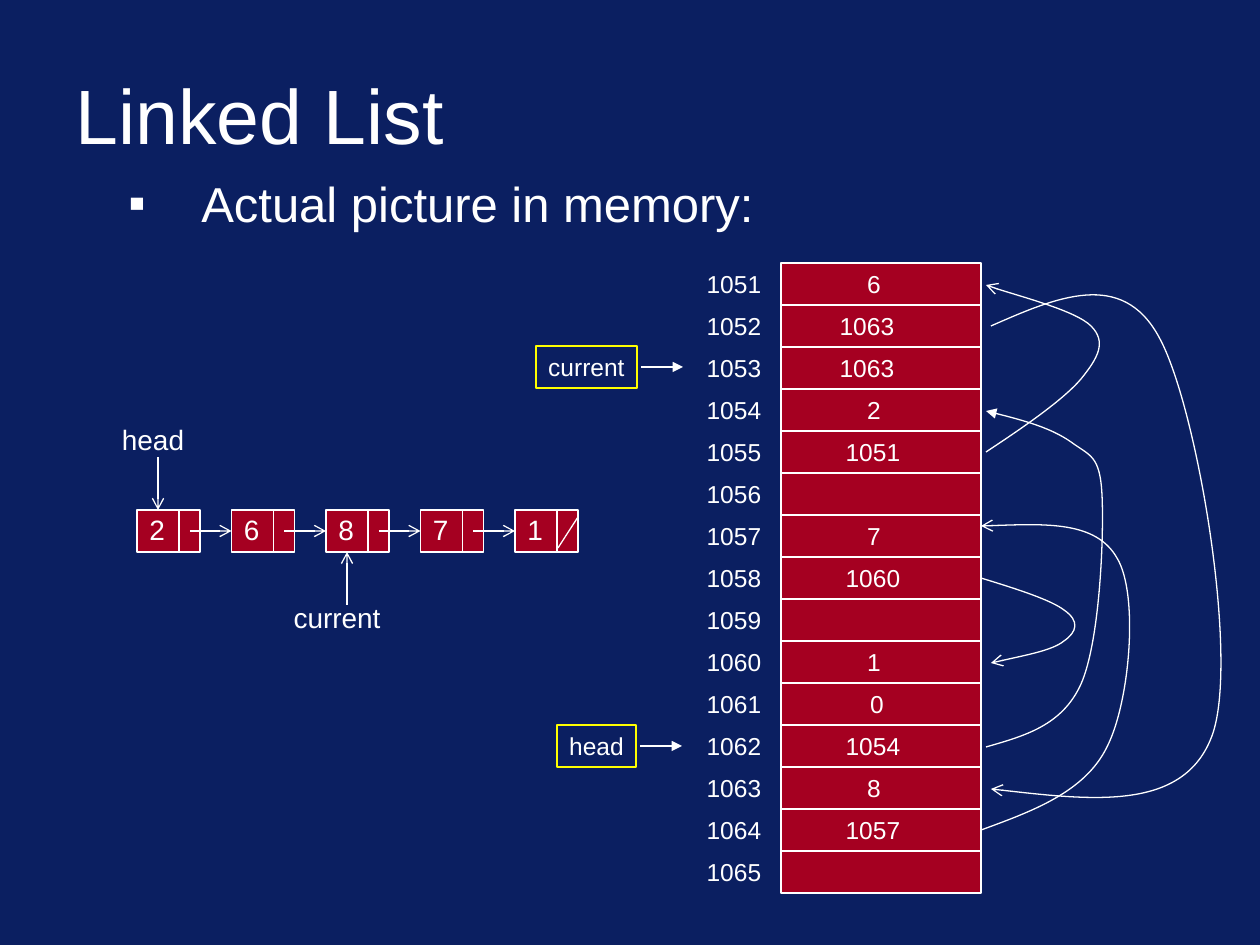
from lxml import etree
from pptx import Presentation
from pptx.dml.color import RGBColor
from pptx.enum.shapes import MSO_CONNECTOR, MSO_SHAPE
from pptx.enum.text import MSO_ANCHOR, PP_ALIGN
from pptx.oxml.ns import qn
from pptx.util import Inches, Pt

EMU_PER_PX = 914400 / 126
NAVY = RGBColor(0x0B, 0x1F, 0x61)
CRIMSON = RGBColor(0xA5, 0x00, 0x21)
WHITE = RGBColor(0xFF, 0xFF, 0xFF)
YELLOW = RGBColor(0xFF, 0xFF, 0x00)
LEFT, CENTER = PP_ALIGN.LEFT, PP_ALIGN.CENTER
TOP, MIDDLE = MSO_ANCHOR.TOP, MSO_ANCHOR.MIDDLE
RECTANGLE, STRAIGHT = MSO_SHAPE.RECTANGLE, MSO_CONNECTOR.STRAIGHT
LEFT_SIDE = 1

ROW = 42
FIRST_ADDRESS = 1051
# One entry per memory row: text and its centre, from the left of the memory
MEMORY = [("6", 93), ("1063", 86), ("1063", 86), ("2", 93), ("1051", 92),
          ("", 0), ("7", 93), ("1060", 92), ("", 0), ("1", 93),
          ("0", 96), ("1054", 92), ("8", 93), ("1057", 92), ("", 0)]
# Bezier points of each pointer, from the top right corner of the memory
POINTERS = [
    ("arrow", [(5, 189), (43, 164), (82, 137), (100, 116), (117, 95),
               (126, 79), (110, 63), (95, 48), (23, 29), (5, 22)]),
    ("arrow", [(10, 63), (76, 34), (141, 6), (178, 74), (216, 142),
               (259, 398), (231, 473), (203, 548), (106, 537), (10, 526)]),
    ("arrow", [(0, 567), (52, 548), (104, 529), (126, 484), (149, 439),
               (158, 331), (136, 295), (115, 258), (58, 261), (0, 263)]),
    ("arrow", [(0, 315), (36, 326), (70, 337), (83, 347), (99, 358),
               (96, 369), (83, 378), (72, 387), (41, 393), (10, 400)]),
    ("triangle", [(5, 484), (43, 473), (81, 463), (100, 421), (119, 378),
                  (123, 272), (121, 232), (119, 192), (109, 193), (90, 179),
                  (70, 165), (38, 156), (5, 148)]),
]


def px(*lengths):
    return [round(length * EMU_PER_PX) for length in lengths]


def write(shape, text, size=14, align=CENTER, anchor=TOP, wrap=False):
    frame = shape.text_frame
    frame.word_wrap = wrap
    frame.vertical_anchor = anchor
    paragraph = frame.paragraphs[0]
    paragraph.alignment = align
    run = paragraph.add_run()
    run.text = text
    run.font.size = Pt(size)
    run.font.name = "Arial"
    run.font.color.rgb = WHITE
    return paragraph


def add_label(slide, text, center, top, width=90, height=ROW, **style):
    label = slide.shapes.add_textbox(*px(center - width / 2, top, width, height))
    write(label, text, **style)


def set_outline(shape, color=WHITE, tip=None):
    shape.line.color.rgb = color
    shape.line.width = Pt(0.75)
    if tip:
        outline = shape.element.spPr.find(qn("a:ln"))
        etree.SubElement(outline, qn("a:tailEnd"), type=tip)


def add_box(slide, box, fill=None, color=WHITE):
    rect = slide.shapes.add_shape(RECTANGLE, *px(*box))
    rect.shadow.inherit = False
    if fill is None:
        rect.fill.background()
    else:
        rect.fill.solid()
        rect.fill.fore_color.rgb = fill
    set_outline(rect, color)
    return rect


def add_line(slide, start, end, tip=None):
    line = slide.shapes.add_connector(STRAIGHT, *px(*start, *end))
    set_outline(line, tip=tip)
    etree.SubElement(line.element.spPr, qn("a:effectLst"))
    return line


def add_curve(slide, points, tip):
    """Draw a chain of cubic Beziers: a start, then three points per piece."""
    builder = slide.shapes.build_freeform(*points[0], scale=EMU_PER_PX)
    builder.add_line_segments(points[1:], close=False)
    curve = builder.convert_to_shape()
    curve.shadow.inherit = False
    curve.fill.background()
    set_outline(curve, tip=tip)
    outline = next(curve.element.iter(qn("a:path")))
    segments = outline.findall(qn("a:lnTo"))
    for first in range(0, len(segments), 3):
        bezier = etree.SubElement(outline, qn("a:cubicBezTo"))
        for segment in segments[first:first + 3]:
            bezier.append(segment[0])
            outline.remove(segment)


def add_heading(slide, box):
    x, y, width, height = box
    title = slide.shapes.title
    title.left, title.top, title.width, title.height = px(x, y, width, height)
    write(title, "Linked List", size=44, align=LEFT, anchor=MIDDLE, wrap=True)

    subtitle = slide.shapes.add_textbox(*px(x + 53, y + 128, width, 94))
    paragraph = write(subtitle, "Actual picture in memory:", size=28,
                      align=LEFT, wrap=True)
    paragraph.line_spacing = 0.8
    paragraph.space_before = Pt(7)
    indent = px(73)[0]
    properties = paragraph._p.get_or_add_pPr()
    properties.set("marL", str(indent))
    properties.set("indent", str(-indent))
    bullet_color = etree.SubElement(properties, qn("a:buClr"))
    etree.SubElement(bullet_color, qn("a:srgbClr"), val=str(WHITE))
    etree.SubElement(properties, qn("a:buFont"), typeface="Arial")
    etree.SubElement(properties, qn("a:buChar"), char="▪")


def add_memory(slide, box):
    x, y, width, _ = box
    add_box(slide, box, CRIMSON)
    for row, (value, center) in enumerate(MEMORY):
        top = y + row * ROW
        if row:
            add_line(slide, (x, top), (x + width, top))
        add_label(slide, str(FIRST_ADDRESS + row), x - 47, top)
        if value:
            add_label(slide, value, x + center, top)
    for tip, points in POINTERS:
        add_curve(slide, [(x + width + dx, y + dy) for dx, dy in points], tip)


def add_variable(slide, name, box):
    """Draw a named variable with an arrow towards its memory address."""
    x, y, width, height = box
    write(add_box(slide, box, color=YELLOW), name, anchor=MIDDLE)
    middle, start = y + height / 2, x + width + 4
    add_line(slide, (start, middle), (start + 42, middle), "triangle")


def add_node(slide, value, box):
    x, y, _, height = box
    node = add_box(slide, box, CRIMSON)
    add_line(slide, (x + 42, y), (x + 42, y + height))
    add_label(slide, value, x + 17, y - 4, width=34, height=47,
              size=16, align=LEFT, wrap=True)
    return node


def add_linked_list(slide, box):
    x, y, width, height = box
    values = "26871"
    node_width = 63
    step = (width - node_width) / (len(values) - 1)
    lefts = [x + i * step for i in range(len(values))]
    nodes = [add_node(slide, value, (left, y, node_width, height))
             for value, left in zip(values, lefts)]
    middle = y + height / 2
    for left, next_left, next_node in zip(lefts, lefts[1:], nodes[1:]):
        link = add_line(slide, (left + 53, middle), (next_left, middle), "arrow")
        link.end_connect(next_node, LEFT_SIDE)
    add_line(slide, (x + width, y + 7), (x + width - 20, y + 38))

    head, current = lefts[0] + 21, lefts[2] + 21
    add_label(slide, "head", head - 5, y - 94, width=96, height=47, size=16)
    add_line(slide, (head, y - 53), (head, y), "arrow")
    add_label(slide, "current", current - 10, y + 84, width=120, height=47, size=16)
    add_line(slide, (current, y + 95), (current, y + height), "arrow")


def main():
    deck = Presentation()
    deck.slide_width, deck.slide_height = Inches(10), Inches(7.5)
    slide = deck.slides.add_slide(deck.slide_layouts[5])
    slide.background.fill.solid()
    slide.background.fill.fore_color.rgb = NAVY
    add_heading(slide, (63, 51, 1134, 126))
    add_memory(slide, (781, 263, 200, ROW * len(MEMORY)))
    add_variable(slide, "current", (536, 346, 101, ROW))
    add_variable(slide, "head", (557, 725, 79, ROW))
    add_linked_list(slide, (137, 510, 441, ROW))
    deck.save("out.pptx")


if __name__ == "__main__":
    main()
